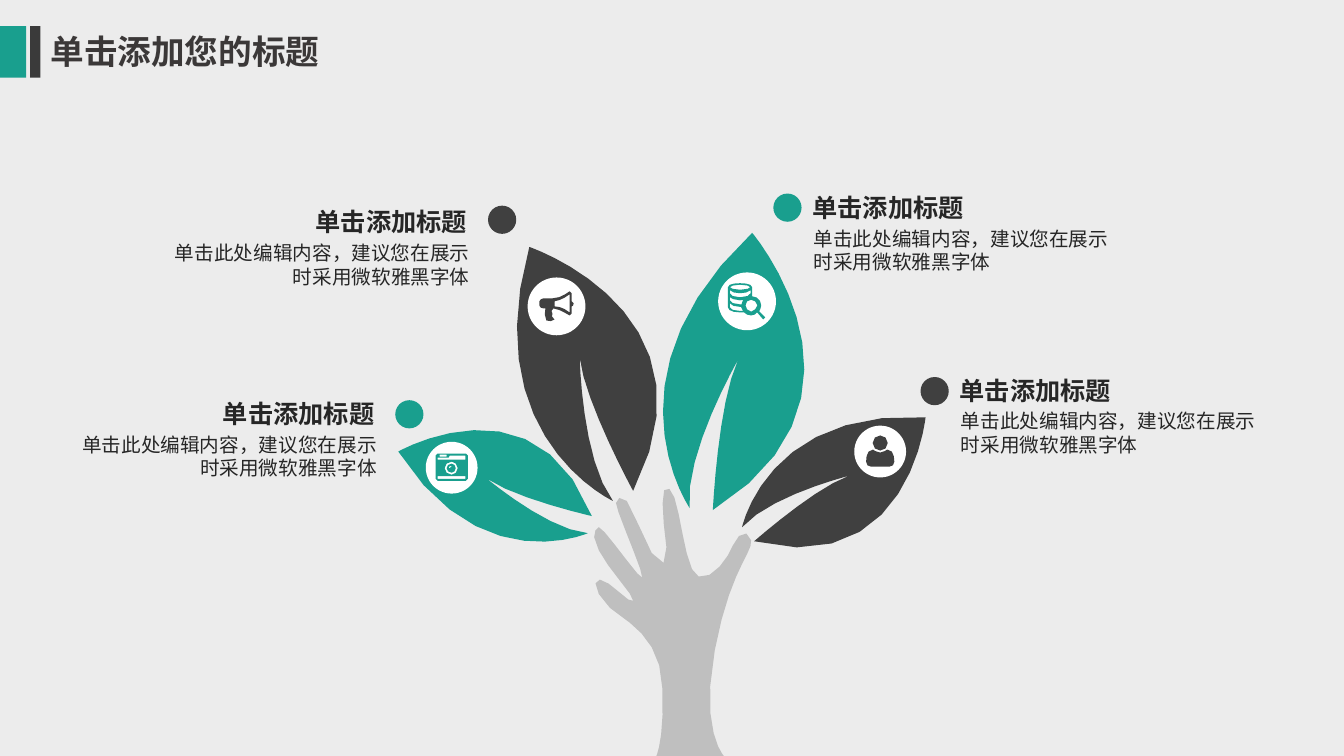
import math
import pptx
import pptx.util
import pptx.dml.color
import pptx.enum.shapes
import pptx.enum.text
import pptx.oxml
import pptx.oxml.ns
from pptx.util import Inches

THEME = {
    "font": "Noto Sans CJK SC",
    "back": "ECECEC", "teal": "199F8E", "dark": "404040", "bar": "3A3A3A",
    "arm": "BFBFBF", "white": "FFFFFF", "title": "3B3838", "text": "262626",
    "title_pt": 24, "heading_pt": 18, "body_pt": 14,
}
TITLE = "单击添加您的标题"
HEADING = "单击添加标题"
BODY = "单击此处编辑内容，建议您在展示时采用微软雅黑字体"

# Side of the tree, dot corner, heading top, colour
LABELS = [
    ("right", (7.67, 1.92), 1.86, "teal"),
    ("left", (4.84, 2.04), 2.0, "dark"),
    ("right", (9.13, 3.74), 3.67, "dark"),
    ("left", (3.92, 3.97), 3.9, "teal"),
]

# Outlines: each contour is a start point, then lines (x, y)
# or curves (control 1, control 2, end). Leaves and arm are in inches.
LEAVES = [
    ("dark", [[(7.36, 5.23), (7.36, 5.23, 7.61, 4.05, 9.18, 4.14),
               (9.18, 4.14, 9.02, 5.76, 7.48, 5.37),
               (7.48, 5.37, 8.08, 4.84, 8.42, 4.72),
               (8.42, 4.72, 7.63, 4.92, 7.36, 5.23)]]),
    ("teal", [[(5.83, 5.29), (5.83, 5.29, 4.77, 5.76, 3.95, 4.48),
               (3.95, 4.48, 5.31, 3.7, 5.87, 5.12),
               (5.87, 5.12, 5.12, 4.95, 4.83, 4.75),
               (4.83, 4.75, 5.44, 5.26, 5.83, 5.29)]]),
    ("teal", [[(6.84, 5.04), (6.84, 5.04, 5.94, 3.73, 7.46, 2.31),
               (7.46, 2.31, 8.85, 3.95, 7.07, 5.06),
               (7.07, 5.06, 7.12, 4, 7.32, 3.57),
               (7.32, 3.57, 6.78, 4.51, 6.84, 5.04)]]),
    ("dark", [[(6.08, 4.97), (6.08, 4.97, 4.72, 4.34, 5.25, 2.45),
               (5.25, 2.45, 7.18, 3.1, 6.28, 4.87),
               (6.28, 4.87, 5.8, 3.99, 5.75, 3.55),
               (5.75, 3.55, 5.77, 4.56, 6.08, 4.97)]]),
]
ARM = [[(7.18, 7.5), (7.18, 7.5, 6.94, 7.25, 7.09, 6.45),
        (7.24, 5.65, 7.47, 5.48, 7.45, 5.36), (7.43, 5.24, 7.31, 5.29, 7.27, 5.41),
        (7.23, 5.52, 7.07, 5.76, 6.93, 5.72), (6.78, 5.68, 6.75, 4.92, 6.64, 4.85),
        (6.54, 4.77, 6.57, 5.12, 6.61, 5.43), (6.65, 5.73, 6.45, 5.56, 6.33, 5.2),
        (6.2, 4.83, 6.12, 4.94, 6.11, 4.99), (6.1, 5.04, 6.39, 5.69, 6.37, 5.73),
        (6.35, 5.76, 5.98, 5.22, 5.94, 5.23), (5.91, 5.25, 5.85, 5.29, 5.94, 5.46),
        (6.02, 5.63, 6.3, 5.92, 6.28, 5.96), (6.26, 6.01, 6.04, 5.75, 5.95, 5.75),
        (5.87, 5.74, 5.9, 5.89, 6.05, 6.03), (6.2, 6.16, 6.56, 6.31, 6.57, 6.83),
        (6.59, 7.34, 6.51, 7.5, 6.51, 7.5)]]

# Icons are in hundredths of an inch from their own corner
DATABASE = [
    [(37, 34), (31, 28), (32, 26, 33, 24, 33, 22), (33, 17, 29, 13, 24, 13),
     (24, 4), (24, 1, 18, 0, 12, 0), (6, 0, 0, 1, 0, 4), (0, 24),
     (0, 27, 5, 29, 12, 29), (16, 29), (18, 31, 20, 32, 23, 32),
     (25, 32, 28, 31, 29, 29), (35, 36)],
    [(19, 18), (21, 16, 25, 16, 27, 18), (30, 20, 30, 24, 27, 26),
     (25, 29, 21, 29, 19, 26), (17, 24, 17, 20, 19, 18)],
    [(12, 1.5), (19, 1.5, 22, 3, 22, 4), (22, 5, 19, 6.5, 12, 6.5),
     (6, 6.5, 2, 5, 2, 4), (2, 3, 6, 1.5, 12, 1.5)],
    [(2, 7), (3, 9, 8, 10, 12, 10), (16, 10, 21, 9, 22.5, 7), (22.5, 10),
     (22.5, 12, 18, 14, 12, 14), (6, 14, 2, 12, 2, 10)],
    [(2, 14), (3, 15, 7, 17, 12, 17), (15, 16.5), (13.5, 21),
     (12, 21), (6, 21, 2, 19, 2, 17)],
    [(2, 20), (3, 22, 7, 23.5, 12, 23.5), (13, 23.5), (15, 27.5),
     (12, 27.5), (6, 27.5, 2, 26, 2, 24)],
]
PERSON = [
    [(23, 31), (5, 31), (2, 31, 0, 29, 0, 26), (0, 21, 1, 14, 7, 14),
     (7, 14, 10, 17, 14, 17), (18, 17, 20, 14, 21, 14),
     (27, 14, 28, 21, 28, 26), (28, 29, 26, 31, 23, 31)],
    [(14, 15), (10, 15, 6.5, 12, 6.5, 7.5), (6.5, 3, 10, 0, 14, 0),
     (18, 0, 21.5, 3, 21.5, 7.5), (21.5, 12, 18, 15, 14, 15)],
]
MEGAPHONE = [
    [(34, 12), (34, 14, 33, 15, 32, 15), (32, 22), (30, 24),
     (26, 22, 21, 18, 14, 17), (12, 18, 11, 21, 13, 22), (11, 24, 13, 26, 15, 28),
     (14, 30, 9, 30, 7, 29), (6, 25, 4, 21, 6, 17), (4, 17), (2, 17, 0, 16, 0, 14),
     (0, 10), (0, 9, 2, 7, 4, 7), (13, 7), (20, 7, 26, 3, 30, 0),
     (32, 2), (32, 10), (34, 12)],
    [(30, 3), (25, 7, 20, 9, 15, 10), (15, 15), (20, 15, 25, 17, 30, 21)],
]
CAMERA = [
    [(32, 25), (30, 27), (2, 27), (0, 25), (0, 2), (2, 0), (30, 0), (32, 2)],
    [(29.5, 6), (29.5, 2), (14, 2), (13, 4), (2, 4), (2, 6)],
    [(29.5, 25), (29.5, 22.5), (2, 22.5), (2, 25)],
    [(11, 3), (11, 1), (4, 1), (4, 3)],
    [(16, 8), (12, 8, 9, 11, 9, 14.5), (9, 18, 12, 21, 16, 21),
     (19, 21, 22, 18, 22, 14.5), (22, 11, 19, 8, 16, 8)],
    [(16, 19), (13, 19, 11, 17, 11, 14.5), (11, 12, 13, 10, 16, 10),
     (18, 10, 20, 12, 20, 14.5), (20, 17, 18, 19, 16, 19)],
    [(16, 12), (14, 12, 13, 13, 13, 14.5), (14, 14.5), (16, 12.5)],
]
# Disc corner, disc size, icon corner, icon, colour
ICONS = [
    ((7.13, 2.71), 0.56, (7.22, 2.81), DATABASE, "teal"),
    ((8.48, 4.23), 0.5, (8.59, 4.32), PERSON, "dark"),
    ((5.24, 2.76), 0.56, (5.35, 2.89), MEGAPHONE, "dark"),
    ((4.23, 4.39), 0.5, (4.32, 4.5), CAMERA, "teal"),
]


def rgb(name):
    return pptx.dml.color.RGBColor.from_string(THEME[name])


def paint(sp, color):
    sp.shadow.inherit = False
    sp.fill.solid()
    sp.fill.fore_color.rgb = rgb(color)
    sp.line.fill.background()


def add_preset(slide, kind, x, y, w, h, color):
    sp = slide.shapes.add_shape(kind, *map(Inches, (x, y, w, h)))
    paint(sp, color)
    return sp


def flatten(contour, unit):
    """Turn lines and cubic curves into points, more of them on longer curves."""
    points = [contour[0]]
    for step in contour[1:]:
        if len(step) == 2:
            points.append(step)
            continue
        ends = (points[-1], step[:2], step[2:4], step[4:])
        count = 2 + round(4 * unit * math.dist(ends[0], ends[3]))
        for i in range(1, count + 1):
            t = i / count
            weights = ((1 - t) ** 3, 3 * t * (1 - t) ** 2, 3 * t * t * (1 - t), t ** 3)
            points.append(tuple(sum(w * e[axis] for w, e in zip(weights, ends))
                                for axis in (0, 1)))
    return points


def add_outline(slide, contours, color, corner=(0, 0), unit=1):
    builder = None
    for contour in contours:
        points = [(Inches(corner[0] + x * unit), Inches(corner[1] + y * unit))
                  for x, y in flatten(contour, unit)]
        if builder is None:
            builder = slide.shapes.build_freeform(*points[0])
        else:
            builder.move_to(*points[0])
        builder.add_line_segments(points[1:], close=True)
    paint(builder.convert_to_shape(), color)


def write(sp, text, size, color, align, bold=False):
    tf = sp.text_frame
    tf.word_wrap = True
    tf.auto_size = pptx.enum.text.MSO_AUTO_SIZE.NONE
    p = tf.paragraphs[0]
    p.text, p.alignment, p.line_spacing = text, align, 1.0
    p.font.size = pptx.util.Pt(THEME[size])
    p.font.bold = bold
    p.font.color.rgb = rgb(color)
    p.font.name = THEME["font"]
    ea = pptx.oxml.parse_xml('<a:ea %s typeface="%s"/>' % (
        pptx.oxml.ns.nsdecls("a"), THEME["font"]))
    p._p.pPr.find(pptx.oxml.ns.qn("a:defRPr")).append(ea)


def add_label(slide, side, dot, top, color):
    add_preset(slide, SHAPE.OVAL, *dot, 0.28, 0.28, color)
    if side == "right":
        align, heading_x, body_x = ALIGN.LEFT, dot[0] + 0.29, dot[0] + 0.4
    else:
        align, heading_x, body_x = ALIGN.RIGHT, dot[0] - 1.95, dot[0] - 3.18
    heading = slide.shapes.add_textbox(*map(Inches, (heading_x, top, 1.84, 0.4)))
    write(heading, HEADING, "heading_pt", "text", align, bold=True)
    body = slide.shapes.add_textbox(*map(Inches, (body_x, top + 0.39, 3, 0.55)))
    write(body, BODY, "body_pt", "text", align)
    tf = body.text_frame
    tf.margin_left = tf.margin_top = tf.margin_right = tf.margin_bottom = 0


SHAPE = pptx.enum.shapes.MSO_SHAPE
ALIGN = pptx.enum.text.PP_ALIGN

prs = pptx.Presentation()
prs.slide_width, prs.slide_height = Inches(13.33), Inches(7.5)
s = prs.slides.add_slide(prs.slide_layouts[5])
s.background.fill.solid()
s.background.fill.fore_color.rgb = rgb("back")

add_preset(s, SHAPE.RECTANGLE, 0, 0.26, 0.26, 0.51, "teal")
add_preset(s, SHAPE.RECTANGLE, 0.3, 0.26, 0.1, 0.51, "bar")
title = s.shapes.title
title.left, title.top, title.width, title.height = map(Inches, (0.4, 0.26, 2.99, 0.5))
write(title, TITLE, "title_pt", "title", ALIGN.JUSTIFY, bold=True)

add_outline(s, ARM, "arm")
for color, leaf in LEAVES:
    add_outline(s, leaf, color)
for disc, size, corner, icon, color in ICONS:
    sp = add_preset(s, SHAPE.OVAL, *disc, size, size, "white")
    sp.line.color.rgb = rgb("white")
    sp.line.width = pptx.util.Pt(1)
    add_outline(s, icon, color, corner, 0.01)
for label in LABELS:
    add_label(s, *label)

prs.save("out.pptx")
